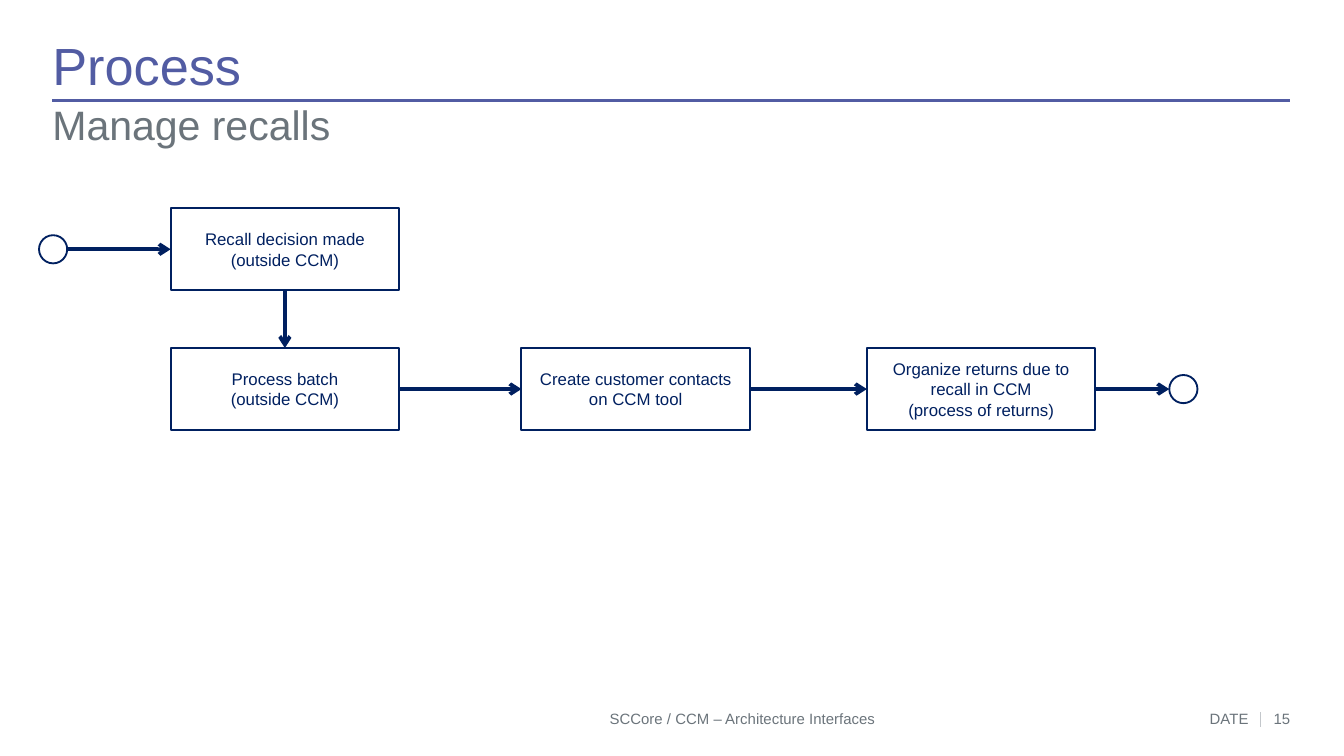
from dataclasses import dataclass

from lxml import etree
from pptx import Presentation
from pptx.dml.color import RGBColor
from pptx.enum.shapes import MSO_CONNECTOR, MSO_SHAPE
from pptx.enum.text import MSO_ANCHOR, MSO_AUTO_SIZE, PP_ALIGN
from pptx.oxml.ns import qn
from pptx.shapes.autoshape import Shape
from pptx.shapes.connector import Connector
from pptx.slide import Slide
from pptx.text.text import TextFrame
from pptx.util import Inches, Pt

STRAIGHT = MSO_CONNECTOR.STRAIGHT
PROCESS = MSO_SHAPE.FLOWCHART_PROCESS
CIRCLE = MSO_SHAPE.FLOWCHART_CONNECTOR
LEFT, CENTER, RIGHT = PP_ALIGN.LEFT, PP_ALIGN.CENTER, PP_ALIGN.RIGHT
TOP, MIDDLE = MSO_ANCHOR.TOP, MSO_ANCHOR.MIDDLE
NO_FIT = MSO_AUTO_SIZE.NONE


@dataclass(frozen=True)
class Theme:
    font: str = "Arial"
    violet: str = "525CA3"
    gray: str = "6B747B"
    pale: str = "C3C7CB"
    navy: str = "002060"
    title: float = 28
    body: float = 22
    label: float = 9
    foot: float = 8


@dataclass(frozen=True)
class Step:
    text: str
    left: float
    mid: float


@dataclass(frozen=True)
class Dot:
    left: float
    mid: float


@dataclass(frozen=True)
class Line:
    x1: float
    y1: float
    x2: float
    y2: float


@dataclass(frozen=True)
class Note:
    text: str
    left: float
    width: float
    align: PP_ALIGN


THEME = Theme()
WIDTH = 10
HEIGHT = WIDTH * 9 / 16
BOX_W, BOX_H, DOT = 1.7, 0.61, 0.21
ROW_1, ROW_2 = 1.55 + BOX_H / 2, 2.59 + BOX_H / 2
EDGE, SPAN = 0.39, 9.21

RECALL = Step("Recall decision made\n(outside CCM)", 1.27, ROW_1)
CHAIN = [
    Step("Process batch\n(outside CCM)", 1.27, ROW_2),
    Step("Create customer contacts on CCM tool", 3.88, ROW_2),
    Step("Organize returns due to recall in CCM\n(process of returns)", 6.45, ROW_2),
]
START, END = Dot(0.29, ROW_1), Dot(8.7, ROW_2)
NOTES = [
    Note("DATE", 8.44, 0.85, RIGHT),
    Note("SCCore / CCM – Architecture Interfaces", 2.42, 6.21, CENTER),
    Note("15", 9.26, 0.34, RIGHT),
]


def set_place(shape: Shape, left: float, top: float, width: float, height: float) -> None:
    shape.left, shape.top = Inches(left), Inches(top)
    shape.width, shape.height = Inches(width), Inches(height)


def set_text(frame: TextFrame, text: str, size: float, color: str,
             align: PP_ALIGN, anchor: MSO_ANCHOR, pad_x: float = 0, pad_y: float = 0) -> None:
    frame.text = text
    frame.word_wrap = True
    frame.auto_size = NO_FIT
    frame.vertical_anchor = anchor
    frame.margin_left = frame.margin_right = Inches(pad_x)
    frame.margin_top = frame.margin_bottom = Inches(pad_y)
    for para in frame.paragraphs:
        para.alignment = align
        for run in para.runs:
            run.font.name = THEME.font
            run.font.size = Pt(size)
            run.font.color.rgb = RGBColor.from_string(color)


def draw_line(slide: Slide, line: Line, color: str, width: float) -> Connector:
    link = slide.shapes.add_connector(
        STRAIGHT, Inches(line.x1), Inches(line.y1), Inches(line.x2), Inches(line.y2))
    link.line.color.rgb = RGBColor.from_string(color)
    link.line.width = Pt(width)
    etree.SubElement(link._element.spPr, qn("a:effectLst"))
    return link


def draw_arrow(slide: Slide, line: Line) -> None:
    link = draw_line(slide, line, THEME.navy, 2)
    etree.SubElement(link.line._get_or_add_ln(), qn("a:tailEnd"), type="arrow")


def draw_shape(slide: Slide, kind: MSO_SHAPE, left: float, mid: float,
               width: float, height: float) -> Shape:
    shape = slide.shapes.add_shape(
        kind, Inches(left), Inches(mid - height / 2), Inches(width), Inches(height))
    shape.shadow.inherit = False
    shape.fill.background()
    shape.line.color.rgb = RGBColor.from_string(THEME.navy)
    shape.line.width = Pt(1)
    return shape


def draw_step(slide: Slide, step: Step) -> None:
    box = draw_shape(slide, PROCESS, step.left, step.mid, BOX_W, BOX_H)
    set_text(box.text_frame, step.text, THEME.label, THEME.navy, CENTER, MIDDLE, 0.07, 0.04)


def draw_note(slide: Slide, note: Note) -> None:
    box = slide.shapes.add_textbox(
        Inches(note.left), Inches(5.28), Inches(note.width), Inches(0.13))
    set_text(box.text_frame, note.text, THEME.foot, THEME.gray, note.align, TOP)


def draw_head(slide: Slide) -> None:
    title, body = slide.shapes.title, slide.placeholders[1]
    set_place(title, EDGE, 0.3, SPAN, 0.42)
    set_text(title.text_frame, "Process", THEME.title, THEME.violet, LEFT, MIDDLE)
    set_place(body, EDGE, 0.78, SPAN, 0.38)
    set_text(body.text_frame, "Manage recalls", THEME.body, THEME.gray, LEFT, TOP)
    para = body.text_frame.paragraphs[0]
    props = para._p.get_or_add_pPr()
    props.set("marL", "0")
    props.set("indent", "0")
    etree.SubElement(props, qn("a:buNone"))
    para.space_before = Pt(0)
    for shape in (title, body):
        shape.text_frame.paragraphs[0].line_spacing = 0.9
    draw_line(slide, Line(EDGE, 0.75, EDGE + SPAN, 0.75), THEME.violet, 1.5)


def draw_flow(slide: Slide) -> None:
    for step in [RECALL, *CHAIN]:
        draw_step(slide, step)
    for dot in (START, END):
        draw_shape(slide, CIRCLE, dot.left, dot.mid, DOT, DOT)
    draw_arrow(slide, Line(START.left + DOT, ROW_1, RECALL.left, ROW_1))
    center = RECALL.left + BOX_W / 2
    draw_arrow(slide, Line(center, ROW_1 + BOX_H / 2, center, ROW_2 - BOX_H / 2))
    for step, goal in zip(CHAIN, [*CHAIN[1:], END]):
        draw_arrow(slide, Line(step.left + BOX_W, ROW_2, goal.left, ROW_2))


def main() -> None:
    deck = Presentation()
    deck.slide_width, deck.slide_height = Inches(WIDTH), Inches(HEIGHT)
    slide = deck.slides.add_slide(deck.slide_layouts[1])
    draw_head(slide)
    draw_flow(slide)
    for note in NOTES:
        draw_note(slide, note)
    draw_line(slide, Line(9.38, 5.3, 9.38, 5.41), THEME.pale, 0.5)
    deck.save("out.pptx")


if __name__ == "__main__":
    main()
